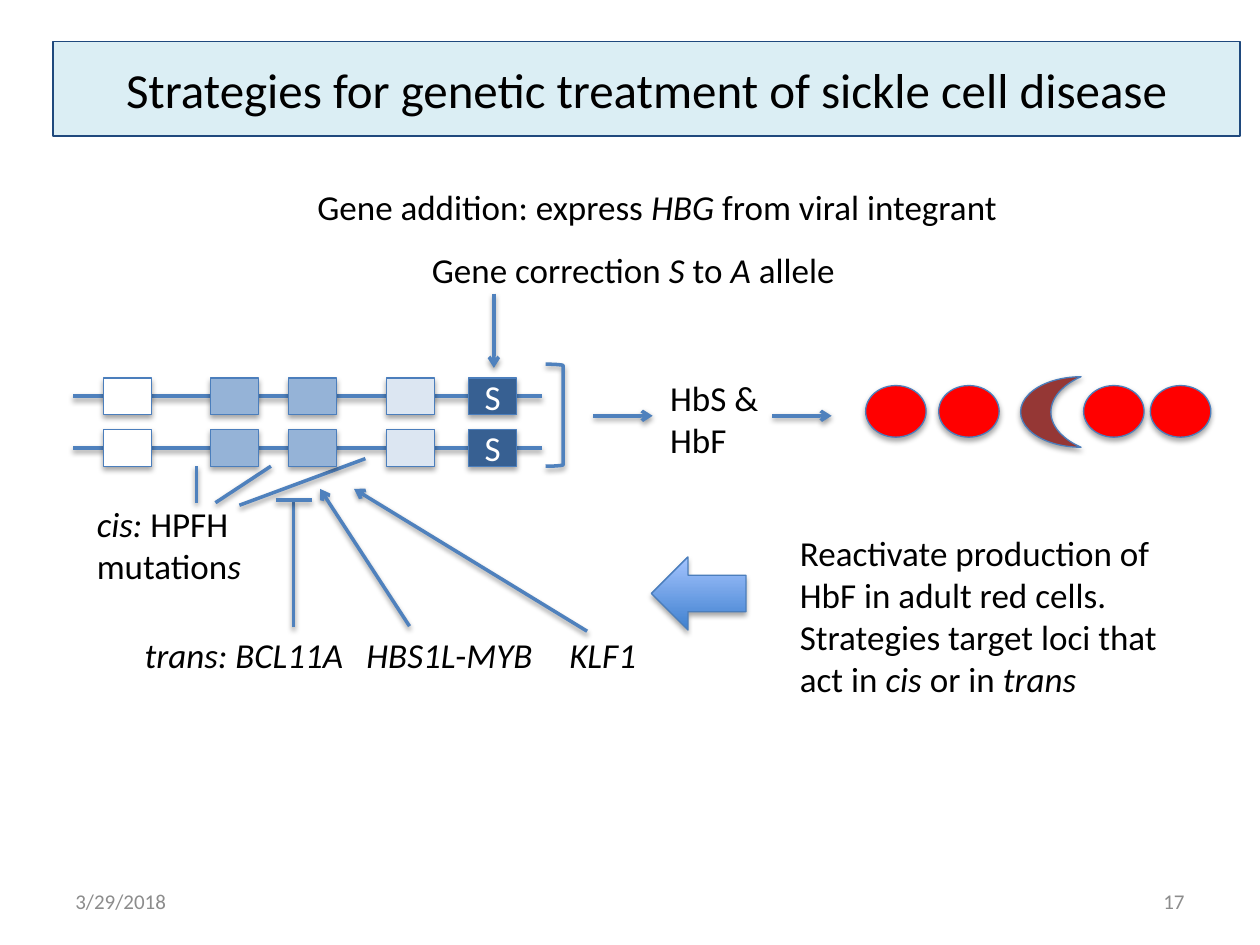
from lxml import etree
from pptx import Presentation
from pptx.dml.color import RGBColor
from pptx.enum import shapes, text
from pptx.oxml.ns import qn
from pptx.util import Inches, Pt

COLORS = {
    "title_fill": "DBEEF4", "title_line": "1F497D", "black": "000000",
    "white": "FFFFFF", "footer": "8C8C8C", "stroke": "4F81BD",
    "outline": "4B7EBC", "gamma": "95B3D7", "delta": "DCE6F2",
    "beta": "376092", "red_cell": "FF0000", "sickle": "953735",
    "arrow_bottom": "3F80CE", "arrow_top": "A4C4FF",
}
TITLE = "Strategies for genetic treatment of sickle cell disease"

# Asterisks enclose italic words.
LABELS = [  # left, top, width, height, wraps, paragraphs
    (5.22, 2.94, 0.91, 0.77, False, ["HbS &", "HbF"]),
    (1.77, 4.98, 1.13, 0.44, False, ["*BCL11A*"]),
    (2.81, 4.98, 1.6, 0.44, False, ["*HBS1L*-*MYB*"]),
    (4.42, 4.98, 0.8, 0.44, False, ["*KLF1*"]),
    (0.67, 3.94, 1.43, 0.77, False, ["*cis: *HPFH", "mutation*s*"]),
    (1.05, 4.98, 0.93, 0.44, False, ["*trans:*"]),
    (3.33, 1.92, 3.43, 0.44, False, ["Gene correction *S* to *A* allele"]),
    (2.42, 1.42, 5.72, 0.44, False,
     ["Gene addition: express *HBG* from viral integrant"]),
    (6.25, 4.17, 3.42, 1.45, True,
     ["Reactivate production of HbF in adult red cells.",
      "Strategies target loci that act in *cis* or in *trans*"]),
]
FOOTERS = [
    (0.5, "3/29/2018", text.PP_ALIGN.LEFT),
    (7.17, "17", text.PP_ALIGN.RIGHT),
]

GENES = [  # left, fill, letter
    (0.82, "white", ""), (1.67, "gamma", ""), (2.29, "gamma", ""),
    (3.07, "delta", ""), (3.72, "beta", "S"),
]
GENE_SIZE = (0.38, 0.29)
ALLELE_TOPS = [3, 3.41]
ALLELE_SPAN = (0.58, 4.3)
RED_CELL_LEFTS = [7.45, 9.13, 8.6, 6.87]

CIS_LINES = [(1.9, 4.01, 2.9, 3.64), (1.56, 3.99, 1.56, 3.7),
             (1.71, 3.99, 2.15, 3.7)]
REPRESSOR_LINES = [(2.33, 4.98, 2.33, 3.98), (2.19, 3.97, 2.48, 3.97)]
ARROWS = [
    (4.71, 3.3, 5.18, 3.3), (6.13, 3.3, 6.6, 3.3),
    (3.25, 4.97, 2.54, 3.88), (4.66, 5.01, 2.81, 3.88),
    (3.92, 2.33, 3.92, 2.92),
]


def rgb(name):
    return RGBColor.from_string(COLORS[name])


def set_all(target, values):
    for name, value in values.items():
        setattr(target, name, value)


def add_shadow(shape, distance=1.8, opacity=35):
    """Give the shape a soft shadow straight below it."""
    properties = shape._element.spPr
    effects = properties.find(qn("a:effectLst"))
    if effects is None:
        effects = etree.SubElement(properties, qn("a:effectLst"))
    shadow = etree.SubElement(
        effects, qn("a:outerShdw"), blurRad=str(Pt(3.1)),
        dist=str(Pt(distance)), dir="5400000", rotWithShape="0")
    color = etree.SubElement(shadow, qn("a:srgbClr"), val=COLORS["black"])
    etree.SubElement(color, qn("a:alpha"), val=str(opacity * 1000))


def set_line(shape, color, width):
    shape.line.color.rgb = rgb(color)
    shape.line.width = Pt(width)


def add_line(parent, ends, arrow=False):
    line = parent.add_connector(shapes.MSO_CONNECTOR.STRAIGHT, *map(Inches, ends))
    set_line(line, "stroke", 2)
    if arrow:
        etree.SubElement(line.line._get_or_add_ln(), qn("a:tailEnd"), type="arrow")
    add_shadow(line, 1.6, 38)


def add_shape(parent, kind, box, fill=None):
    shape = parent.add_shape(kind, *map(Inches, box))
    shape.shadow.inherit = False
    if fill:
        shape.fill.solid()
        shape.fill.fore_color.rgb = rgb(fill)
    set_line(shape, "outline", 0.75)
    add_shadow(shape)
    return shape


def write(frame, paragraphs, size=20, color="black", align=text.PP_ALIGN.LEFT):
    """Fill the frame, with words between asterisks in italics."""
    for number, content in enumerate(paragraphs):
        paragraph = frame.add_paragraph() if number else frame.paragraphs[0]
        paragraph.alignment = align
        for position, part in enumerate(content.split("*")):
            if part:
                run = paragraph.add_run()
                run.text = part
                set_all(run.font, {"name": "Calibri", "size": Pt(size),
                                   "italic": position % 2 == 1})
                run.font.color.rgb = rgb(color)


def add_title(slide):
    title = slide.shapes.title
    set_all(title, {"left": Inches(0.42), "top": Inches(0.33),
                    "width": Inches(9.42), "height": Inches(0.75)})
    title.fill.solid()
    title.fill.fore_color.rgb = rgb("title_fill")
    set_line(title, "title_line", 1)
    set_all(title.text_frame, {"vertical_anchor": text.MSO_ANCHOR.MIDDLE,
                               "auto_size": text.MSO_AUTO_SIZE.NONE})
    write(title.text_frame, [TITLE], size=28, align=text.PP_ALIGN.CENTER)


def add_allele(slide, top):
    allele = slide.shapes.add_group_shape().shapes
    width, height = GENE_SIZE
    middle = top + height / 2
    start, end = ALLELE_SPAN
    add_line(allele, (start, middle, end, middle))
    for left, fill, letter in GENES:
        gene = add_shape(allele, shapes.MSO_SHAPE.RECTANGLE,
                         (left, top, width, height), fill)
        if letter:
            gene.text_frame.vertical_anchor = text.MSO_ANCHOR.MIDDLE
            write(gene.text_frame, [letter], color="white",
                  align=text.PP_ALIGN.CENTER)


def add_cells(slide):
    for left in RED_CELL_LEFTS:
        add_shape(slide.shapes, shapes.MSO_SHAPE.OVAL,
                  (left, 3.06, 0.48, 0.41), "red_cell")
    add_shape(slide.shapes, shapes.MSO_SHAPE.MOON, (8.1, 2.99, 0.48, 0.56), "sickle")


def add_bracket(slide):
    bracket = add_shape(slide.shapes, shapes.MSO_SHAPE.RIGHT_BRACKET,
                        (4.33, 2.89, 0.14, 0.81))
    bracket.fill.background()
    set_line(bracket, "stroke", 2)


def add_block_arrow(slide):
    arrow = add_shape(slide.shapes, shapes.MSO_SHAPE.LEFT_ARROW,
                      (5.17, 4.42, 0.75, 0.58))
    arrow.fill.gradient()
    arrow.fill.gradient_angle = 90
    for stop, color in zip(arrow.fill.gradient_stops, ("arrow_bottom", "arrow_top")):
        stop.color.rgb = rgb(color)


def add_labels(slide):
    for *box, wraps, paragraphs in LABELS:
        frame = slide.shapes.add_textbox(*map(Inches, box)).text_frame
        set_all(frame, {"word_wrap": wraps,
                        "auto_size": text.MSO_AUTO_SIZE.SHAPE_TO_FIT_TEXT})
        write(frame, paragraphs)
    for left, content, align in FOOTERS:
        box = map(Inches, (left, 6.95, 2.33, 0.4))
        frame = slide.shapes.add_textbox(*box).text_frame
        set_all(frame, {"word_wrap": True,
                        "vertical_anchor": text.MSO_ANCHOR.MIDDLE})
        write(frame, [content], 12, "footer", align)


def main():
    presentation = Presentation()
    set_all(presentation, {"slide_width": Inches(10), "slide_height": Inches(7.5)})
    slide = presentation.slides.add_slide(presentation.slide_layouts[5])
    add_title(slide)
    for ends in CIS_LINES:
        add_line(slide.shapes, ends)
    for top in ALLELE_TOPS:
        add_allele(slide, top)
    add_cells(slide)
    add_bracket(slide)
    repressor = slide.shapes.add_group_shape().shapes
    for ends in REPRESSOR_LINES:
        add_line(repressor, ends)
    for ends in ARROWS:
        add_line(slide.shapes, ends, arrow=True)
    add_labels(slide)
    add_block_arrow(slide)
    presentation.save("out.pptx")


if __name__ == "__main__":
    main()
